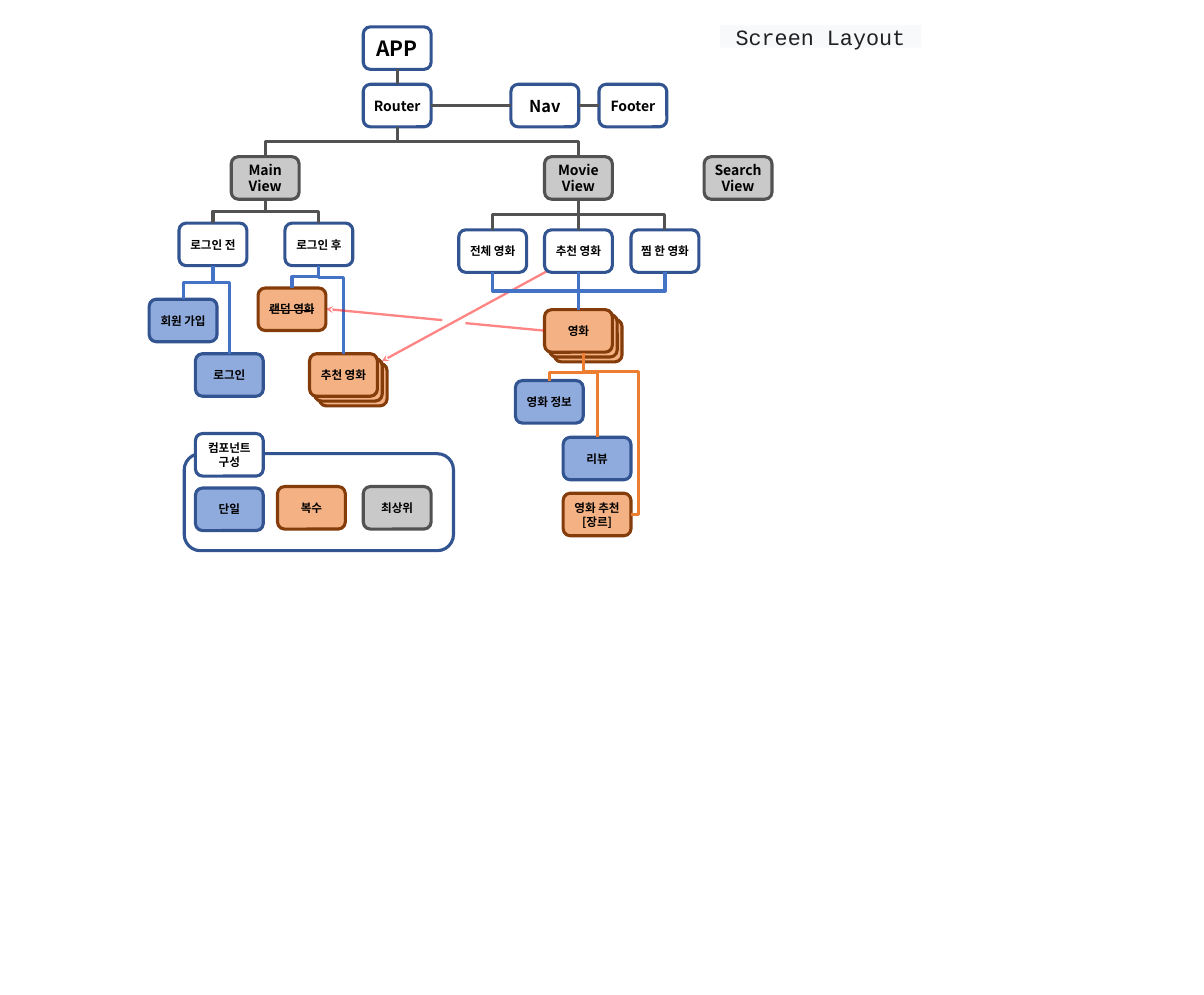
from lxml import etree
from pptx import Presentation
from pptx.dml.color import RGBColor
from pptx.enum import shapes, text
from pptx.oxml import ns
from pptx.util import Cm, Inches, Pt

WIDE, HIGH = Cm(41), Inches(40 / 3)
BOX_W, BOX_H = 0.91, 0.57
STEP = 0.065  # shift between the cards of a stack
SANS, MONO = "Noto Sans CJK KR", "Courier New"

BLACK = RGBColor(0x00, 0x00, 0x00)
WHITE = RGBColor(0xFF, 0xFF, 0xFF)
INK = RGBColor(0x20, 0x21, 0x24)
PALE = RGBColor(0xF8, 0xF9, 0xFA)
NAVY = RGBColor(0x32, 0x54, 0x91)
SKY = RGBColor(0x8F, 0xAA, 0xDC)
BLUE = RGBColor(0x44, 0x72, 0xC4)
SILVER = RGBColor(0xC9, 0xC9, 0xC9)
GRAY = RGBColor(0x52, 0x52, 0x52)
PEACH = RGBColor(0xF4, 0xB1, 0x83)
BROWN = RGBColor(0x84, 0x3C, 0x0B)
ORANGE = RGBColor(0xED, 0x7D, 0x31)
RED = RGBColor(0xFF, 0x00, 0x00)

# kind: fill, outline
KINDS = {"plain": (WHITE, NAVY), "single": (SKY, NAVY),
         "multi": (PEACH, BROWN), "top": (SILVER, GRAY)}

# key: label, left, top, kind, text size
BOXES = {
    "app": ("APP", 4.87, 0.36, "plain", 20.2),
    "router": ("Router", 4.87, 1.13, "plain", 13.5),
    "nav": ("Nav", 6.85, 1.13, "plain", 15.8),
    "footer": ("Footer", 8.03, 1.13, "plain", 13.5),
    "main": ("Main\nView", 3.1, 2.1, "top", 13.5),
    "films": ("Movie\nView", 7.3, 2.1, "top", 13.5),
    "search": ("Search\nView", 9.44, 2.1, "top", 13.5),
    "before": ("로그인 전", 2.4, 2.99, "plain", 11.2),
    "after": ("로그인 후", 3.82, 2.99, "plain", 11.2),
    "all": ("전체 영화", 6.15, 3.08, "plain", 11.2),
    "picks": ("추천 영화", 7.3, 3.08, "plain", 11.2),
    "liked": ("찜 한 영화", 8.46, 3.08, "plain", 11.2),
    "join": ("회원 가입", 2, 4.01, "single", 11.2),
    "login": ("로그인", 2.62, 4.74, "single", 11.2),
    "random": ("랜덤 영화", 3.46, 3.86, "multi", 11.2),
    "advice": ("추천 영화", 4.15, 4.74, "multi", 11.2),
    "film": ("영화", 7.3, 4.15, "multi", 11.2),
    "info": ("영화 정보", 6.91, 5.1, "single", 11.2),
    "review": ("리뷰", 7.55, 5.86, "single", 11.2),
    "genre": ("영화 추천\n[장르]", 7.55, 6.61, "multi", 11.2),
}
STACKS = {"advice", "film"}
STRUCK = {"random"}

FRAME = (2.47, 6.08, 3.61, 1.3)
LEGEND = [
    ("컴포넌트\n구성", 2.62, 5.81, "plain", 11.2),
    ("단일", 2.62, 6.54, "single", 11.2),
    ("최상위", 4.87, 6.52, "top", 11.2),
    ("복수", 3.72, 6.52, "multi", 11.2),
]

# upper box, lower box, colour, share of the drop before the bend
TREE = [
    ("app", "router", GRAY, 0.5),
    ("router", "main", GRAY, 0.5), ("router", "films", GRAY, 0.5),
    ("main", "before", GRAY, 0.5), ("main", "after", GRAY, 0.5),
    ("films", "all", GRAY, 0.5), ("films", "liked", GRAY, 0.5),
    ("films", "picks", GRAY, 0.5),
    ("before", "join", BLUE, 0.5), ("before", "login", BLUE, 0.19),
    ("after", "advice", BLUE, 0.13), ("after", "random", BLUE, 0.5),
    ("all", "film", BLUE, 0.5), ("picks", "film", BLUE, 0.5),
    ("liked", "film", BLUE, 0.5),
]
SIDES = [("router", "nav"), ("nav", "footer")]
FORK = (7.82, 4.88)  # under the middle of the film stack


def box(host, label, left, top, kind, size=11.2, struck=False,
        wide=BOX_W, high=BOX_H):
    """Add a rounded box with a bold centred label."""
    item = host.add_shape(shapes.MSO_SHAPE.ROUNDED_RECTANGLE, Inches(left),
                          Inches(top), Inches(wide), Inches(high))
    fill, edge = KINDS[kind]
    item.shadow.inherit = False
    item.fill.solid()
    item.fill.fore_color.rgb = fill
    item.line.color.rgb = edge
    item.line.width = Pt(3)
    if label:
        write(item.text_frame, label, size, SANS, BLACK, (0.06, 0.03), True)
    if struck:
        for run in item.text_frame.paragraphs[0].runs:
            run.font._element.set("strike", "sngStrike")


def write(frame, label, size, face, color, pad, bold=False):
    """Fill a text frame with one centred, formatted paragraph."""
    frame.word_wrap = True
    frame.auto_size = text.MSO_AUTO_SIZE.NONE
    frame.vertical_anchor = text.MSO_ANCHOR.MIDDLE
    frame.margin_left = frame.margin_right = Inches(pad[0])
    frame.margin_top = frame.margin_bottom = Inches(pad[1])
    para = frame.paragraphs[0]
    para.text = label
    para.alignment = text.PP_ALIGN.CENTER
    for run in para.runs:
        font = run.font
        font.size, font.bold, font.name = Pt(size), bold, face
        font.color.rgb = color
        etree.SubElement(font._element, ns.qn("a:ea"), typeface=face)


def stack(label, left, top, kind, size):
    """Group three shifted cards, the labelled one in front."""
    group = slide.shapes.add_group_shape()
    for step in (2, 1, 0):
        box(group.shapes, "" if step else label, left + step * STEP,
            top + step * STEP, kind, size)


def line(start, end, color, width=3, form=shapes.MSO_CONNECTOR.STRAIGHT):
    """Add a connector without a shadow."""
    wire = slide.shapes.add_connector(form, *map(Inches, (*start, *end)))
    wire.line.color.rgb = color
    wire.line.width = Pt(width)
    etree.SubElement(wire._element.spPr, ns.qn("a:effectLst"))
    return wire


def bend(start, end, color, *shares):
    """Add an elbow that leaves downward and turns at the given shares."""
    (x1, y1), (x2, y2) = start, end
    if abs(x1 - x2) < 0.01:
        return line(start, end, color)
    wide, high = y2 - y1, abs(x2 - x1)
    left, top = (x1 + x2 - wide) / 2, (y1 + y2 - high) / 2
    wire = line((left, top), (left + wide, top + high), color,
                form=shapes.MSO_CONNECTOR.ELBOW)
    frame = wire._element.spPr.find(ns.qn("a:xfrm"))
    frame.set("rot", str((90 if x2 < x1 else 270) * 60000))
    if x2 > x1:
        frame.set("flipH", "1")
    shape = wire._element.spPr.find(ns.qn("a:prstGeom"))
    shape.set("prst", f"bentConnector{len(shares) + 2}")
    guides = shape.find(ns.qn("a:avLst"))
    if guides is None:
        guides = etree.SubElement(shape, ns.qn("a:avLst"))
    for rank, share in enumerate(shares, 1):
        etree.SubElement(guides, ns.qn("a:gd"), name=f"adj{rank}",
                         fmla=f"val {round(share * 100000)}")


def link(start, end, arrow=True):
    """Add a translucent red line, with an arrowhead if wanted."""
    wire = line(start, end, RED, 2.25)
    stroke = wire._element.spPr.find(ns.qn("a:ln"))
    tint = stroke.find(".//" + ns.qn("a:srgbClr"))
    etree.SubElement(tint, ns.qn("a:alpha"), val="47000")
    if arrow:
        etree.SubElement(stroke, ns.qn("a:tailEnd"), type="stealth")


def spot(key, across, down):
    """Return a point of a box by shares of its width and height."""
    _, left, top, *_ = BOXES[key]
    return left + across * BOX_W, top + down * BOX_H


deck = Presentation()
deck.slide_width, deck.slide_height = WIDE, HIGH
slide = deck.slides.add_slide(deck.slide_layouts[5])

title = slide.shapes.title
title.left, title.top = Inches(9.65), Inches(0.34)
title.width, title.height = Inches(2.7), Inches(0.3)
title.fill.solid()
title.fill.fore_color.rgb = PALE
write(title.text_frame, "Screen Layout", 21, MONO, INK, (0, -0.02))

link((7.36, 3.62), (5.12, 4.84))
for key, row in BOXES.items():
    if key in STACKS:
        stack(*row)
    else:
        box(slide.shapes, *row, struck=key in STRUCK)

for upper, lower, color, share in TREE:
    bend(spot(upper, 0.5, 1), spot(lower, 0.5, 0), color, share)
for near, far in SIDES:
    line(spot(far, 0, 0.5), spot(near, 1, 0.5), GRAY)
bend(FORK, spot("info", 0.5, 0), ORANGE, 0.5)
bend(FORK, spot("review", 0.5, 0), ORANGE, 0.11)
bend(FORK, spot("genre", 1, 0.5), ORANGE, 0.05, 1.16)
line((FORK[0], 4.73), (FORK[0], 4.99), ORANGE)

legend = slide.shapes.add_group_shape().shapes
left, top, wide, high = FRAME
box(legend, "", left, top, "plain", wide=wide, high=high)
for row in LEGEND:
    box(legend, *row)

link((5.93, 4.29), (4.37, 4.14))
link((7.29, 4.43), (6.24, 4.33), arrow=False)

deck.save("out.pptx")
